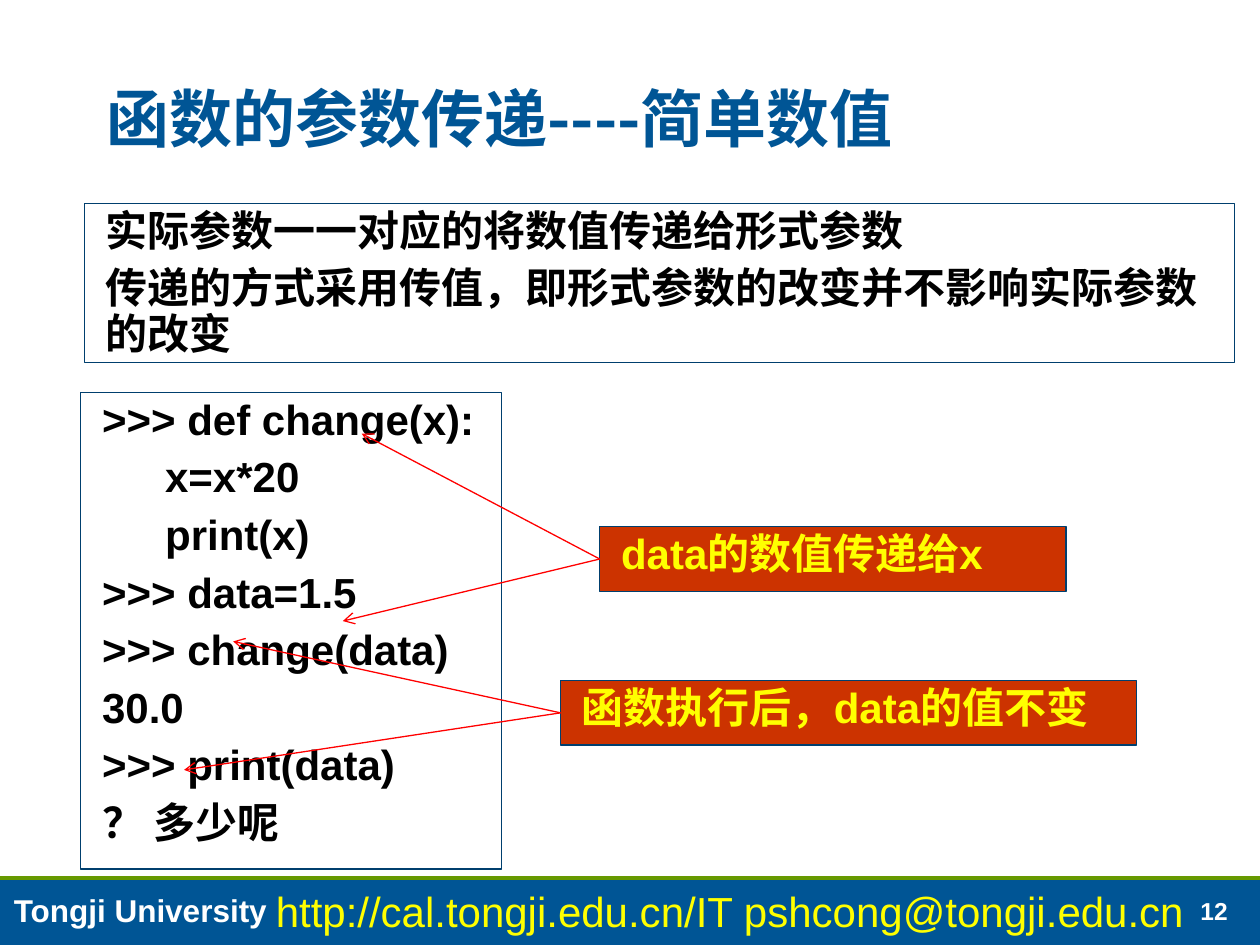
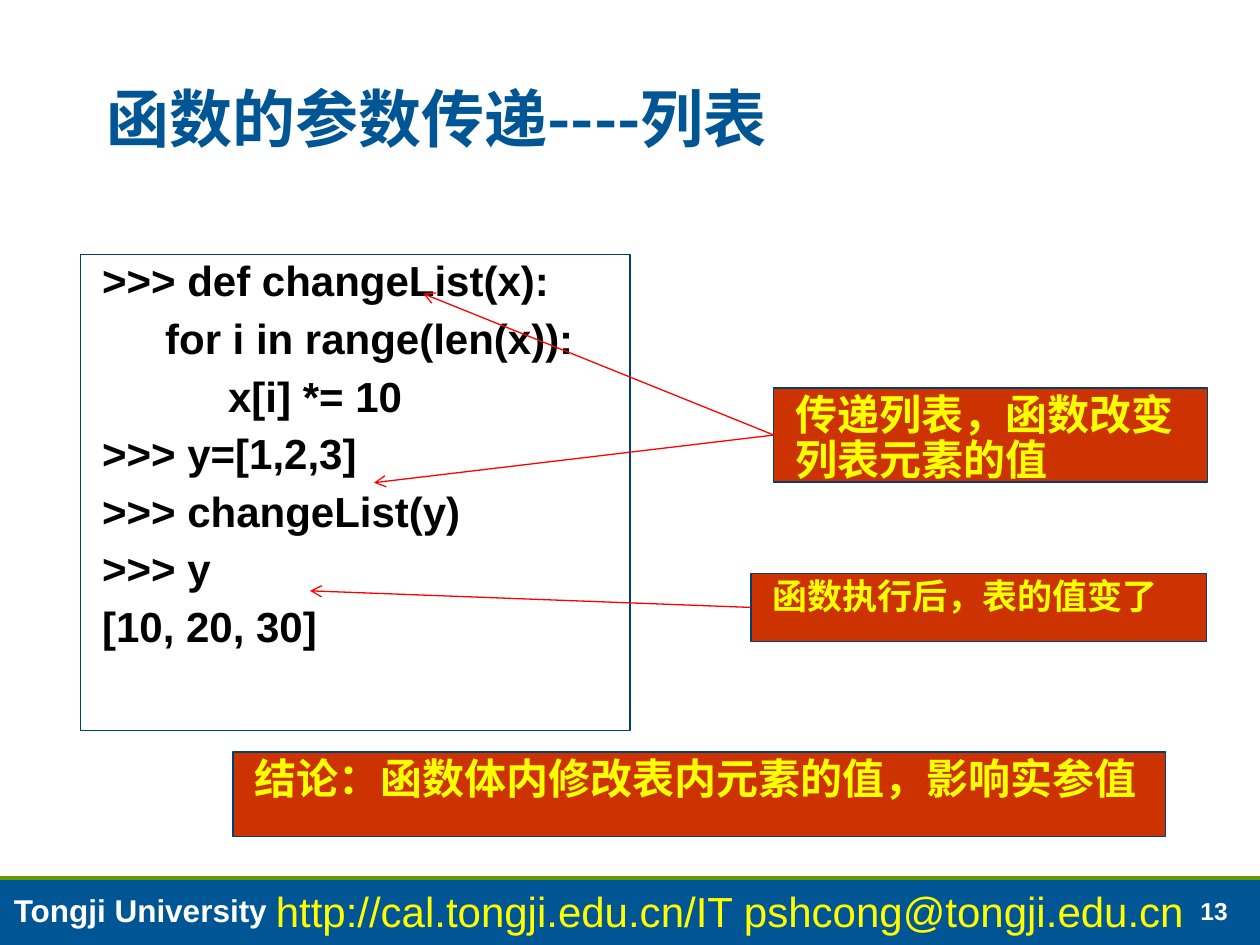
from lxml.etree import SubElement
from pptx import Presentation
from pptx.dml.color import RGBColor
from pptx.enum.shapes import MSO_CONNECTOR as Connector, MSO_SHAPE as Shape
from pptx.enum.text import MSO_ANCHOR as Anchor, PP_ALIGN as Align
from pptx.oxml.ns import qn
from pptx.util import Cm, Pt

BLUE, GREEN, NAVY, RUST = "005595", "669900", "003F6E", "CC3300"
WHITE, BLACK, YELLOW, RED = "FFFFFF", "000000", "FFFF00", "FF0000"
LATIN, CHINESE = "Arial", "Noto Sans CJK SC"
WIDTH, HEIGHT, BAND_TOP = 25.4, 19.05, 17.7

UNIVERSITY = "Tongji University"
CONTACT = "http://cal.tongji.edu.cn/IT pshcong@tongji.edu.cn"

# Areas are left, top, width, height in cm; targets are arrow tips.
SLIDES = [
    {
        "number": 12,
        "title": "函数的参数传递----简单数值",
        "panels": [
            {"area": (1.7, 4.11, 23.19, 3.2), "lines": [
                "实际参数一一对应的将数值传递给形式参数",
                "传递的方式采用传值，即形式参数的改变并不影响实际参数的改变",
            ]},
            {"area": (1.63, 7.92, 8.48, 9.6), "lines": [
                ">>> def change(x):",
                "\tx=x*20",
                "\tprint(x)",
                ">>> data=1.5",
                ">>> change(data)",
                "30.0",
                ">>> print(data)",
                "？ 多少呢",
            ]},
        ],
        "callouts": [
            {"area": (12.09, 10.62, 9.4, 1.3), "text": "data的数值传递给x", "size": 24,
             "targets": [(6.91, 12.52), (7.29, 8.74)]},
            {"area": (11.3, 13.72, 11.61, 1.3), "text": "函数执行后，data的值不变", "size": 24,
             "targets": [(4.7, 12.93), (3.71, 15.52)]},
        ],
    },
    {
        "number": 13,
        "title": "函数的参数传递----列表",
        "panels": [
            {"area": (1.63, 5.13, 11.07, 9.6), "lines": [
                ">>> def changeList(x):",
                "\tfor i in range(len(x)):",
                "\t\tx[i] *= 10",
                ">>> y=[1,2,3]",
                ">>> changeList(y)",
                ">>> y",
                "[10, 20, 30]",
            ]},
        ],
        "callouts": [
            {"area": (15.6, 7.82, 8.74, 1.9), "text": "传递列表，函数改变列表元素的值", "size": 24,
             "targets": [(7.54, 9.73), (8.53, 5.92)]},
            {"area": (15.14, 11.56, 9.19, 1.37), "text": "函数执行后，表的值变了", "size": 20,
             "targets": [(6.25, 11.91)]},
            {"area": (4.7, 15.16, 18.8, 1.7), "text": "结论：函数体内修改表内元素的值，影响实参值", "size": 24,
             "targets": []},
        ],
    },
]


def rgb(color):
    return RGBColor.from_string(color)


def to_cm(values):
    return [Cm(value) for value in values]


def write(shape, lines, size, color, bold=True, font=LATIN, spacing=1.0,
          gap=0, indent=0, anchor=Anchor.TOP, wrap=True):
    """Fill a shape with one left-aligned paragraph per line."""
    frame = shape.text_frame
    frame.word_wrap, frame.vertical_anchor = wrap, anchor
    for index, line in enumerate(lines):
        paragraph = frame.add_paragraph() if index else frame.paragraphs[0]
        paragraph.text = line
        paragraph.alignment = Align.LEFT
        paragraph.line_spacing = spacing
        paragraph.space_before = Pt(gap if index else 0)
        if indent:
            paragraph._p.get_or_add_pPr().set("marL", str(Cm(indent)))
        for run in paragraph.runs:
            run.font.size, run.font.bold, run.font.name = Pt(size), bold, font
            run.font.color.rgb = rgb(color)
            SubElement(run._r.get_or_add_rPr(), qn("a:ea"), typeface=CHINESE)


def add_label(slide, area, text, size, color, **style):
    write(slide.shapes.add_textbox(*to_cm(area)), [text], size, color, **style)


def add_rectangle(slide, area, fill, line=None):
    shape = slide.shapes.add_shape(Shape.RECTANGLE, *to_cm(area))
    shape.shadow.inherit = False
    shape.fill.solid()
    shape.fill.fore_color.rgb = rgb(fill)
    if line:
        shape.line.color.rgb = rgb(line)
        shape.line.width = Pt(0.75)
    else:
        shape.line.fill.background()
    return shape


def add_box(slide, area, lines, size, fill, color):
    box = add_rectangle(slide, area, fill, NAVY)
    write(box, lines, size, color, spacing=0.9, gap=7, indent=0.18)
    return box


def add_line(slide, start, end, color, width):
    line = slide.shapes.add_connector(Connector.STRAIGHT, *to_cm(start + end))
    line.line.color.rgb = rgb(color)
    line.line.width = Pt(width)
    SubElement(line._element.spPr, qn("a:effectLst"))
    return line


def add_callout(slide, area, text, size, targets):
    """Add a rust box with arrows from the middle of its left side."""
    box = add_box(slide, area, [text], size, RUST, YELLOW)
    left, top, _, height = area
    for target in targets:
        arrow = add_line(slide, (left, top + height / 2), target, RED, 0.75)
        arrow.begin_connect(box, 1)
        SubElement(arrow.line._get_or_add_ln(), qn("a:tailEnd"), type="arrow")


def add_frame(slide, title, number):
    """Add the title and footer band that every slide shares."""
    add_rectangle(slide, (0, BAND_TOP, WIDTH, HEIGHT - BAND_TOP), BLUE)
    add_line(slide, (0, BAND_TOP), (WIDTH, BAND_TOP), GREEN, 2)
    add_label(slide, (23.95, 17.93, 1.35, 0.86), str(number), 14, WHITE,
              anchor=Anchor.BOTTOM, wrap=False)
    add_label(slide, (0.03, 17.83, 8.92, 1.02), UNIVERSITY, 18, WHITE)
    add_label(slide, (5.31, 17.73, 19.61, 1.27), CONTACT, 24, YELLOW, bold=False)
    add_label(slide, (1.9, 0.74, 23.01, 2.54), title, 36, BLUE,
              font=CHINESE, spacing=0.95, anchor=Anchor.BOTTOM)


def main():
    presentation = Presentation()
    presentation.slide_width, presentation.slide_height = Cm(WIDTH), Cm(HEIGHT)
    for content in SLIDES:
        slide = presentation.slides.add_slide(presentation.slide_layouts[6])
        add_frame(slide, content["title"], content["number"])
        for panel in content["panels"]:
            add_box(slide, panel["area"], panel["lines"], 24, WHITE, BLACK)
        for callout in content["callouts"]:
            add_callout(slide, **callout)
    presentation.save("out.pptx")


if __name__ == "__main__":
    main()
